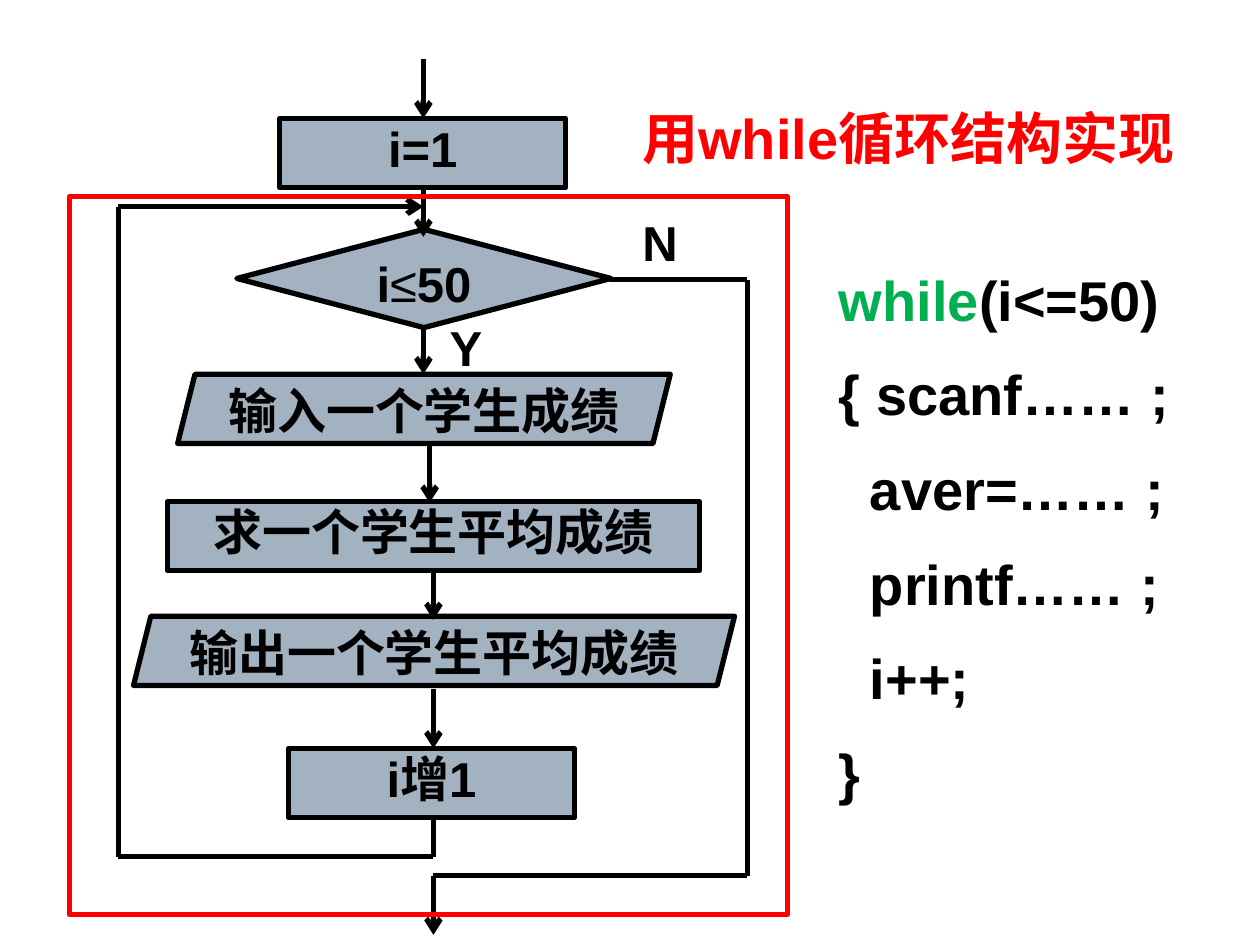
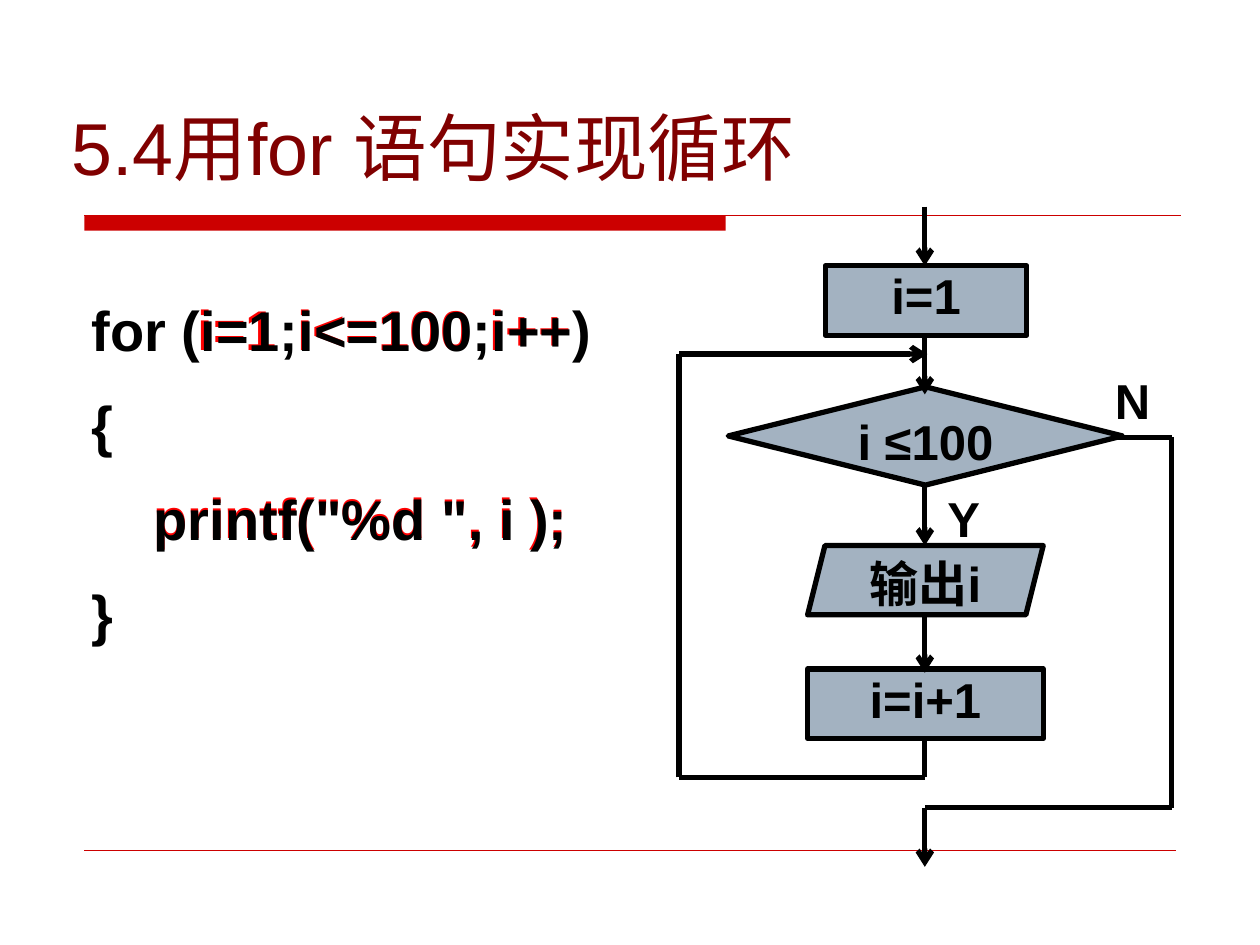
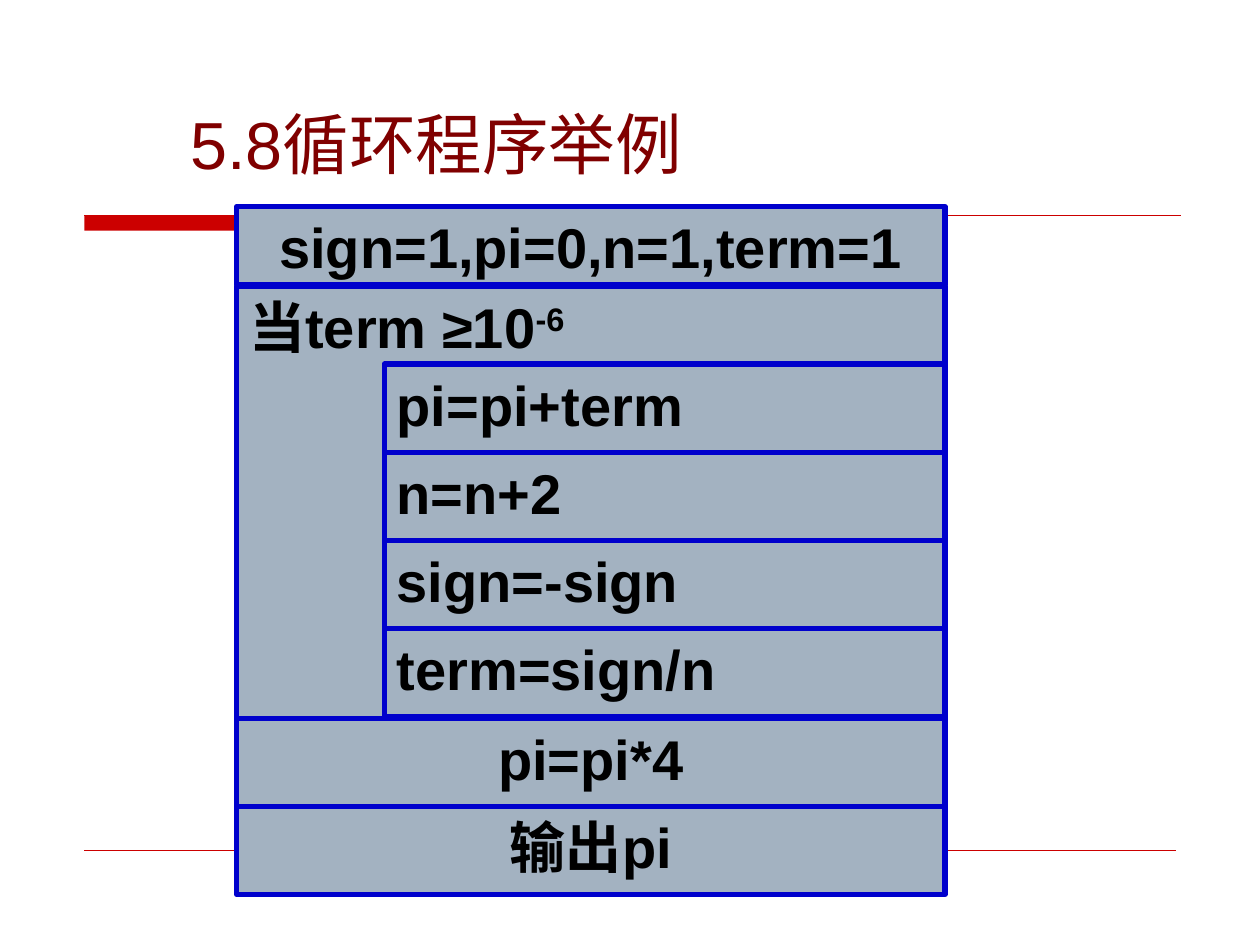
from lxml.etree import SubElement
from pptx import Presentation
from pptx.dml.color import RGBColor
from pptx.enum.shapes import MSO_CONNECTOR, MSO_SHAPE
from pptx.enum.text import MSO_ANCHOR, PP_ALIGN
from pptx.oxml.ns import qn
from pptx.util import Inches, Pt

FONT = "Arial"
BLACK = RGBColor(0x00, 0x00, 0x00)
RED = RGBColor(0xFF, 0x00, 0x00)
GREEN = RGBColor(0x00, 0xB0, 0x50)
MAROON = RGBColor(0x80, 0x00, 0x00)
BAND_RED = RGBColor(0xCC, 0x00, 0x00)
BLUE = RGBColor(0x00, 0x00, 0xCC)
STEEL = RGBColor(0xA3, 0xB2, 0xC1)

PROCESS = MSO_SHAPE.FLOWCHART_PROCESS
DECISION = MSO_SHAPE.FLOWCHART_DECISION
DATA = MSO_SHAPE.PARALLELOGRAM
STEP_HEIGHT = 0.55


# Text
def format_span(span, size, color=BLACK, bold=True):
    span.font.name = FONT
    span.font.size = Pt(size)
    span.font.bold = bold
    span.font.color.rgb = color


def fill_frame(frame, lines, size, color=BLACK, bold=True, align=PP_ALIGN.LEFT,
               wrap=True, anchor=MSO_ANCHOR.TOP):
    frame.text = "\n".join(lines)
    frame.word_wrap = wrap
    frame.vertical_anchor = anchor
    for para in frame.paragraphs:
        para.alignment = align
        for span in para.runs:
            format_span(span, size, color, bold)


def add_span(para, text, size, bold=True):
    span = para.add_run()
    span.text = text
    format_span(span, size, bold=bold)
    return span


def add_label(page, text, left, top, width, height, size=28, color=BLACK, **style):
    box = page.shapes.add_textbox(Inches(left), Inches(top), Inches(width), Inches(height))
    fill_frame(box.text_frame, [text], size, color, **style)


def add_code(page, lines, left, top, width, height, color=BLACK):
    box = page.shapes.add_textbox(Inches(left), Inches(top), Inches(width), Inches(height))
    fill_frame(box.text_frame, lines, 32, color, wrap=False)
    for index, para in enumerate(box.text_frame.paragraphs):
        para.line_spacing = 1.2
        if index:
            para.space_before = Pt(8)
    return box


# Shapes and lines
def add_block(page, kind, left, top, width, height, fill=STEEL, line=BLACK, weight=3):
    block = page.shapes.add_shape(kind, Inches(left), Inches(top), Inches(width), Inches(height))
    block.shadow.inherit = False
    if fill is None:
        block.fill.background()
    else:
        block.fill.solid()
        block.fill.fore_color.rgb = fill
    if line is None:
        block.line.fill.background()
    else:
        block.line.color.rgb = line
        block.line.width = Pt(weight)
    return block


def add_step(page, kind, text, left, top, width, height=STEP_HEIGHT):
    step = add_block(page, kind, left, top, width, height)
    frame = step.text_frame
    frame.margin_left = frame.margin_right = frame.margin_top = frame.margin_bottom = 0
    fill_frame(frame, [text], 28, align=PP_ALIGN.CENTER, wrap=False)
    return step


def add_cell(page, text, left, top, width, height, align=PP_ALIGN.LEFT):
    cell = add_block(page, MSO_SHAPE.RECTANGLE, left, top, width, height, line=BLUE)
    fill_frame(cell.text_frame, [text], 32, align=align)
    return cell


def add_path(page, points, arrow=False, color=BLACK, weight=3):
    """Join the points with straight lines; the last one may carry an arrowhead."""
    for start, end in zip(points, points[1:]):
        line = page.shapes.add_connector(
            MSO_CONNECTOR.STRAIGHT, *(Inches(value) for value in (*start, *end)))
        line.line.color.rgb = color
        line.line.width = Pt(weight)
        properties = line._element.spPr
        if arrow and end == points[-1]:
            SubElement(properties.find(qn("a:ln")), qn("a:tailEnd"), type="arrow")
        SubElement(properties, qn("a:effectLst"))


def add_arrows(page, center, spans):
    for top, bottom in spans:
        add_path(page, [(center, top), (center, bottom)], arrow=True)


# Shared page furniture
def add_page(deck):
    return deck.slides.add_slide(deck.slide_layouts[6])


def add_titled_page(deck, title, left, top, width, height, size):
    page = add_page(deck)
    add_block(page, MSO_SHAPE.RECTANGLE, 0.67, 1.71, 5.09, 0.12, fill=BAND_RED, line=None)
    add_path(page, [(0.67, 1.71), (9.37, 1.71)], color=BAND_RED, weight=0.75)
    add_path(page, [(0.67, 6.75), (9.33, 6.75)], color=BAND_RED, weight=0.25)
    add_label(page, title, left, top, width, height, size, MAROON,
              bold=False, anchor=MSO_ANCHOR.MIDDLE)
    return page


# Pages
def build_while_page(deck):
    page = add_page(deck)
    add_step(page, PROCESS, "i=1", 2.22, 0.94, 2.27)
    decision = add_step(page, DECISION, "i", 1.88, 1.82, 2.97, 0.78)
    condition = decision.text_frame.paragraphs[0]
    add_span(condition, "≤", 28, bold=False)
    add_span(condition, "50", 28)
    add_step(page, DATA, "输入一个学生成绩", 1.41, 2.97, 3.91)
    add_step(page, PROCESS, "求一个学生平均成绩", 1.33, 3.98, 4.22)
    add_step(page, DATA, "输出一个学生平均成绩", 1.06, 4.89, 4.77)
    add_step(page, PROCESS, "i增1", 2.29, 5.94, 2.27)

    add_arrows(page, 3.36, [(0.47, 0.94), (1.48, 1.88), (2.58, 2.97)])
    add_arrows(page, 3.41, [(3.52, 3.99)])
    add_arrows(page, 3.44, [(4.53, 4.92), (5.47, 5.94)])
    add_path(page, [(3.44, 6.48), (3.44, 6.8), (0.94, 6.8), (0.94, 1.64), (3.36, 1.64)], arrow=True)
    add_path(page, [(4.84, 2.22), (5.93, 2.22), (5.93, 6.95), (3.44, 6.95), (3.44, 7.42)], arrow=True)
    add_label(page, "Y", 3.47, 2.47, 0.55, 0.57)
    add_label(page, "N", 5, 1.64, 0.55, 0.57)

    add_label(page, "用while循环结构实现", 5, 0.77, 4.77, 0.64, 32, RED)
    add_block(page, MSO_SHAPE.RECTANGLE, 0.55, 1.56, 5.7, 5.7, fill=None, line=RED)
    code = add_code(page, ["while", "{ scanf…… ;", "  aver=…… ;", "  printf…… ;", "  i++;", "}"],
                    6.56, 1.95, 2.97, 4.61)
    header = code.text_frame.paragraphs[0]
    header.runs[0].font.color.rgb = GREEN
    add_span(header, "(i<=50)", 32)


def build_for_page(deck):
    page = add_titled_page(deck, "5.4用for 语句实现循环", 0.47, 0.76, 9.22, 0.8, 42)
    # Red highlights lie under the black code
    for text, left, top, width in [('printf("%d ", i );', 1.12, 3.67, 3.67), ("i++", 3.79, 2.18, 1.02),
                                   ("i<=100", 2.26, 2.18, 1.8), ("i=1", 1.47, 2.18, 1.02)]:
        add_code(page, [text], left, top, width, 0.78, RED)
    add_code(page, ["for (i=1;i<=100;i++)", "{", '    printf("%d ", i );', "}"],
             0.63, 2.19, 4.22, 3.13)

    add_step(page, PROCESS, "i=1", 6.55, 2.11, 1.6)
    add_step(page, DECISION, "i ≤100", 5.78, 3.07, 3.13, 0.78)
    add_step(page, DATA, "输出i", 6.41, 4.33, 1.87)
    add_step(page, PROCESS, "i=i+1", 6.41, 5.31, 1.87)
    add_arrows(page, 7.34, [(1.64, 2.11), (2.66, 3.13), (3.86, 4.33), (4.87, 5.34)])
    add_path(page, [(7.34, 5.86), (7.34, 6.17), (5.39, 6.17), (5.39, 2.81), (7.36, 2.81)], arrow=True)
    add_path(page, [(8.85, 3.47), (9.3, 3.47), (9.3, 6.41), (7.34, 6.41), (7.34, 6.88)], arrow=True)
    add_label(page, "Y", 7.42, 3.83, 0.55, 0.57)
    add_label(page, "N", 8.75, 2.89, 0.55, 0.57)


def build_example_page(deck):
    page = add_titled_page(deck, "5.8循环程序举例", 1.41, 0.77, 7.19, 0.73, 38)
    left, width, row = 1.88, 5.62, 0.7
    add_cell(page, "sign=1,pi=0,n=1,term=1", left, 1.64, width, 0.62, PP_ALIGN.CENTER)
    loop = add_cell(page, "当term ≥10", left, 2.27, width, 3.44)
    exponent = add_span(loop.text_frame.paragraphs[0], "-6", 32)
    exponent.font._element.set("baseline", "30000")
    for index, text in enumerate(["pi=pi+term", "n=n+2", "sign=-sign", "term=sign/n"]):
        add_cell(page, text, 3.05, 2.89 + index * row, 4.45, row)
    for index, text in enumerate(["pi=pi*4", "输出pi"]):
        add_cell(page, text, left, 5.7 + index * row, width, row, PP_ALIGN.CENTER)


def main():
    deck = Presentation()
    deck.slide_width = Inches(10)
    deck.slide_height = Inches(7.5)
    build_while_page(deck)
    build_for_page(deck)
    build_example_page(deck)
    deck.save("out.pptx")


if __name__ == "__main__":
    main()
